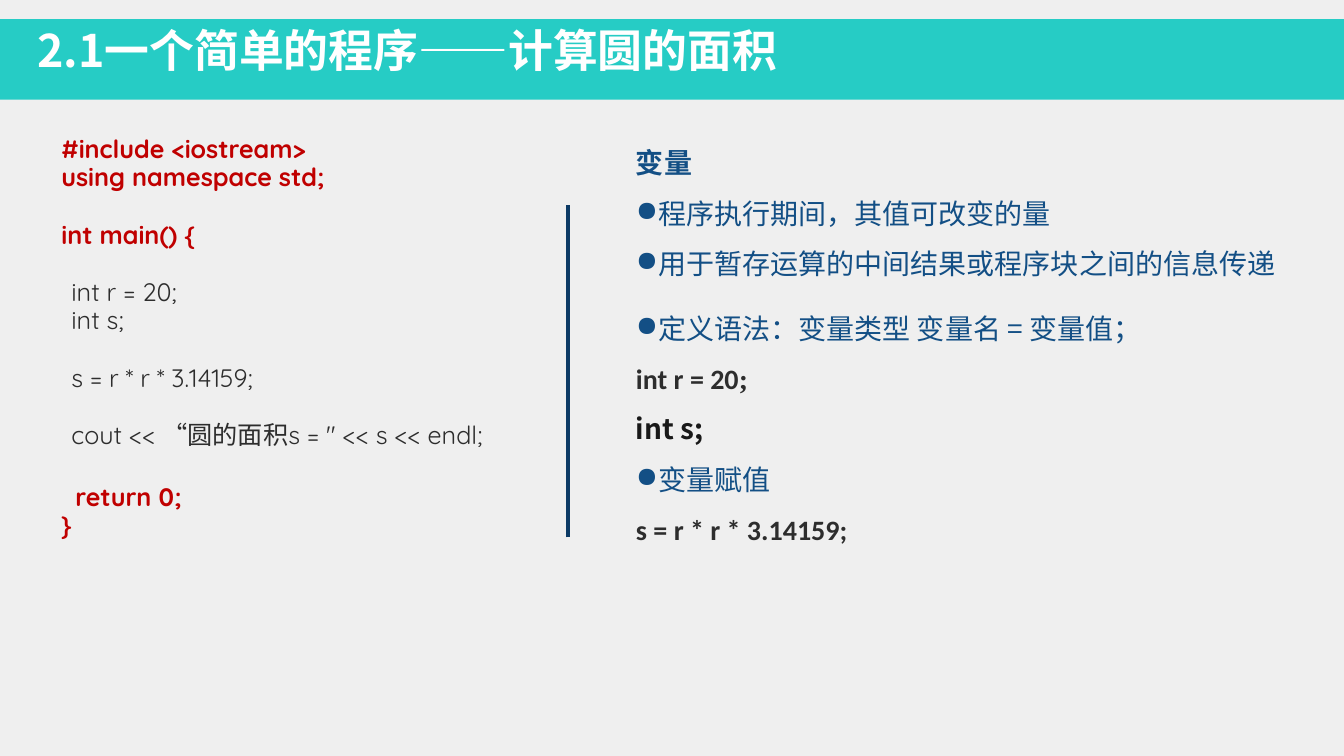
from dataclasses import dataclass

from lxml.etree import SubElement
from pptx import Presentation
from pptx.dml.color import RGBColor
from pptx.enum.shapes import MSO_CONNECTOR, MSO_SHAPE
from pptx.oxml.ns import qn
from pptx.slide import Slide
from pptx.util import Inches, Pt


@dataclass(frozen=True)
class Theme:
    """Colours, fonts and type sizes of the slide."""
    page: str = "EFEFEF"
    bar: str = "26CCC5"
    white: str = "FFFFFF"
    red: str = "C00000"
    code: str = "2D2D2D"
    black: str = "191919"
    blue: str = "134F85"
    divider: str = "0C3A65"
    title_font: str = "Noto Sans CJK JP"
    cjk_font: str = "Noto Sans CJK SC"
    code_font: str = "Quicksand"
    sample_font: str = "+mn-lt"
    semicolon_font: str = "Times New Roman"
    title_size: int = 32
    code_size: int = 18
    note_size: int = 20


T = Theme()


@dataclass(frozen=True)
class Run:
    """A stretch of text in one style."""
    text: str
    font: str
    size: int
    color: str
    bold: bool = False


@dataclass(frozen=True)
class Line:
    """One paragraph, with its bullet, indent and spacing."""
    runs: tuple[Run, ...]
    spacing: float | Pt = 1.0
    before: float = 0
    indent: float = 0
    bullet: bool = False


def code(*runs: Run, skip: int = 0, indent: float = 0) -> Line:
    """Make a program line that stands after some skipped lines."""
    pitch, gap = 20.9, 2.9
    return Line(runs, 0.8, gap + skip * pitch, indent)


def key(text: str) -> Run:
    """Make a run of the fixed program frame."""
    return Run(text, T.code_font, T.code_size, T.red, True)


def body(text: str, font: str = T.code_font) -> Run:
    """Make a run of the program body."""
    return Run(text, font, T.code_size, T.code)


def note(text: str, bold: bool = False) -> Line:
    """Make an explanation: a bold heading or a bulleted point."""
    run = Run(text, T.cjk_font, T.note_size, T.blue, bold)
    return Line((run,), Pt(36), bullet=not bold)


def sample(*parts: tuple[str, str, str]) -> Line:
    """Make a bold code sample from text, font and colour."""
    runs = tuple(Run(t, f, T.note_size, c, True) for t, f, c in parts)
    return Line(runs, Pt(36))


def add_text(s: Slide, x: float, y: float, w: float, h: float,
             lines: list[Line]) -> None:
    """Add a wrapped text box holding the given lines."""
    tf = s.shapes.add_textbox(Inches(x), Inches(y), Inches(w), Inches(h)).text_frame
    tf.word_wrap = True
    for i, line in enumerate(lines):
        p = tf.add_paragraph() if i else tf.paragraphs[0]
        p.line_spacing = line.spacing
        p.space_before = Pt(line.before)
        pPr = p._p.get_or_add_pPr()
        pPr.set("marL", str(Inches(line.indent)))
        pPr.set("indent", "0")
        if line.bullet:
            SubElement(pPr, qn("a:buChar")).set("char", "●")
        for run in line.runs:
            r = p.add_run()
            r.text = run.text
            values = {"name": run.font, "size": Pt(run.size), "bold": run.bold}
            for name, value in values.items():
                setattr(r.font, name, value)
            r.font.color.rgb = RGBColor.from_string(run.color)
            ea = run.font if "CJK" in run.font else T.cjk_font
            SubElement(r._r.get_or_add_rPr(), qn("a:ea")).set("typeface", ea)


def add_bar(s: Slide) -> None:
    """Add the title bar across the slide."""
    sp = s.shapes.add_shape(MSO_SHAPE.RECTANGLE, 0, Inches(0.19),
                            Inches(13.33), Inches(0.8))
    sp.shadow.inherit = False
    sp.fill.solid()
    sp.fill.fore_color.rgb = RGBColor.from_string(T.bar)
    sp.line.fill.background()


def add_divider(s: Slide) -> None:
    """Add the upright line between program and notes."""
    x = Inches(5.63)
    sp = s.shapes.add_connector(MSO_CONNECTOR.STRAIGHT, x, Inches(5.33),
                                x, Inches(2.03))
    sp.line.color.rgb = RGBColor.from_string(T.divider)
    sp.line.width = Pt(3)
    SubElement(sp._element.spPr, qn("a:effectLst"))


FRAME = [
    code(key("#include <iostream>")),
    code(key("using namespace std;")),
    code(key("int main() {"), skip=1),
    code(key("return 0;"), skip=8, indent=0.14),
    code(key("}")),
]
BODY = [
    code(body("int r = 20;")),
    code(body("int s;")),
    code(body("s = r * r * 3.14159;"), skip=1),
    code(body("cout << "), body("“圆的面积", T.cjk_font),
         body("s = \" << s << endl;"), skip=1),
]
MEANING = [
    note("变量", bold=True),
    note("程序执行期间，其值可改变的量"),
    note("用于暂存运算的中间结果或程序块之间的信息传递"),
]
SYNTAX = [
    note("定义语法：变量类型 变量名 = 变量值；"),
    sample(("int r = 20", T.sample_font, T.code),
           (";", T.semicolon_font, T.code)),
    sample(("int s;", T.cjk_font, T.black)),
    note("变量赋值"),
    sample(("s = r * r * 3.14159;", T.sample_font, T.code)),
]
TITLE = Run("2.1一个简单的程序——计算圆的面积", T.title_font, T.title_size, T.white, True)

prs = Presentation()
prs.slide_width, prs.slide_height = Inches(13.33), Inches(7.5)
s = prs.slides.add_slide(prs.slide_layouts[6])
s.background.fill.solid()
s.background.fill.fore_color.rgb = RGBColor.from_string(T.page)
add_bar(s)
add_text(s, 0.27, 0.18, 8.29, 0.64, [Line((TITLE,))])
add_text(s, 0.51, 1.33, 6.08, 4.46, FRAME)
add_text(s, 0.61, 2.75, 4.77, 1.86, BODY)
add_text(s, 6.21, 1.23, 6.97, 1.57, MEANING)
add_text(s, 6.21, 2.87, 6.97, 2.56, SYNTAX)
add_divider(s)
prs.save("out.pptx")
